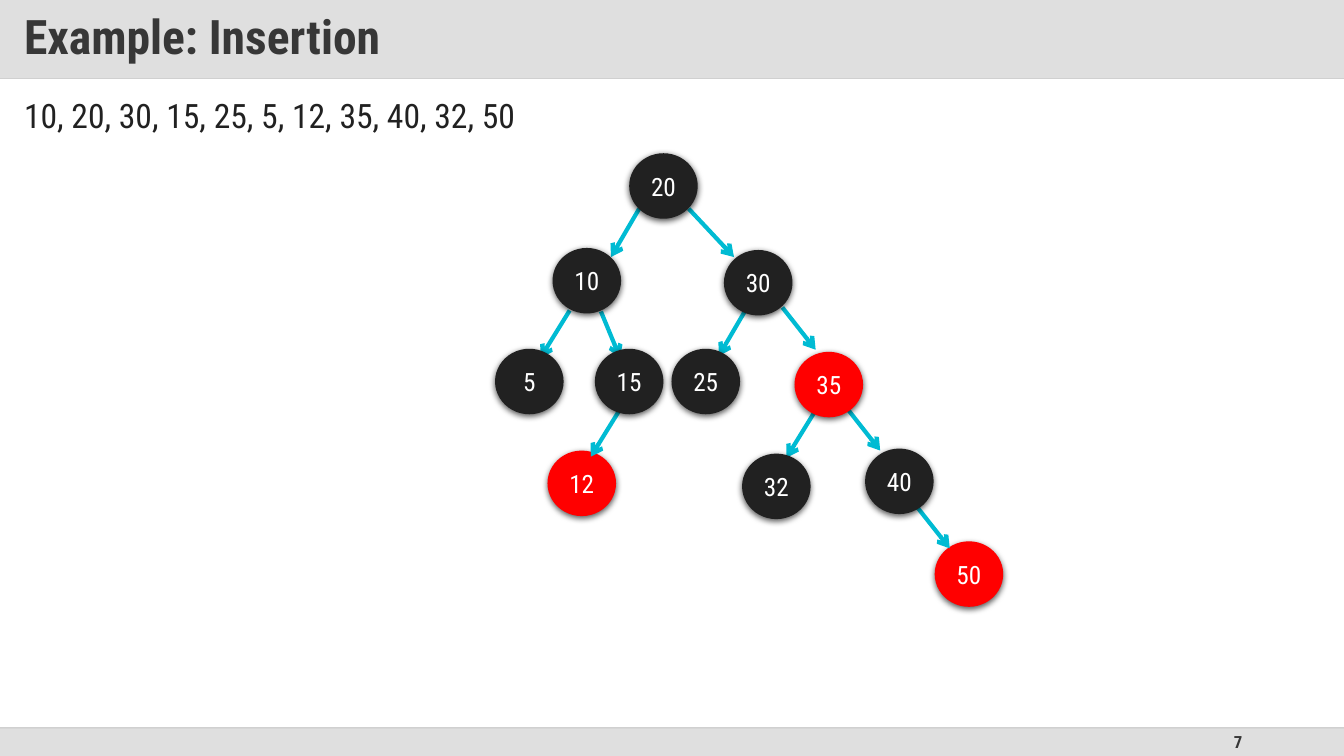
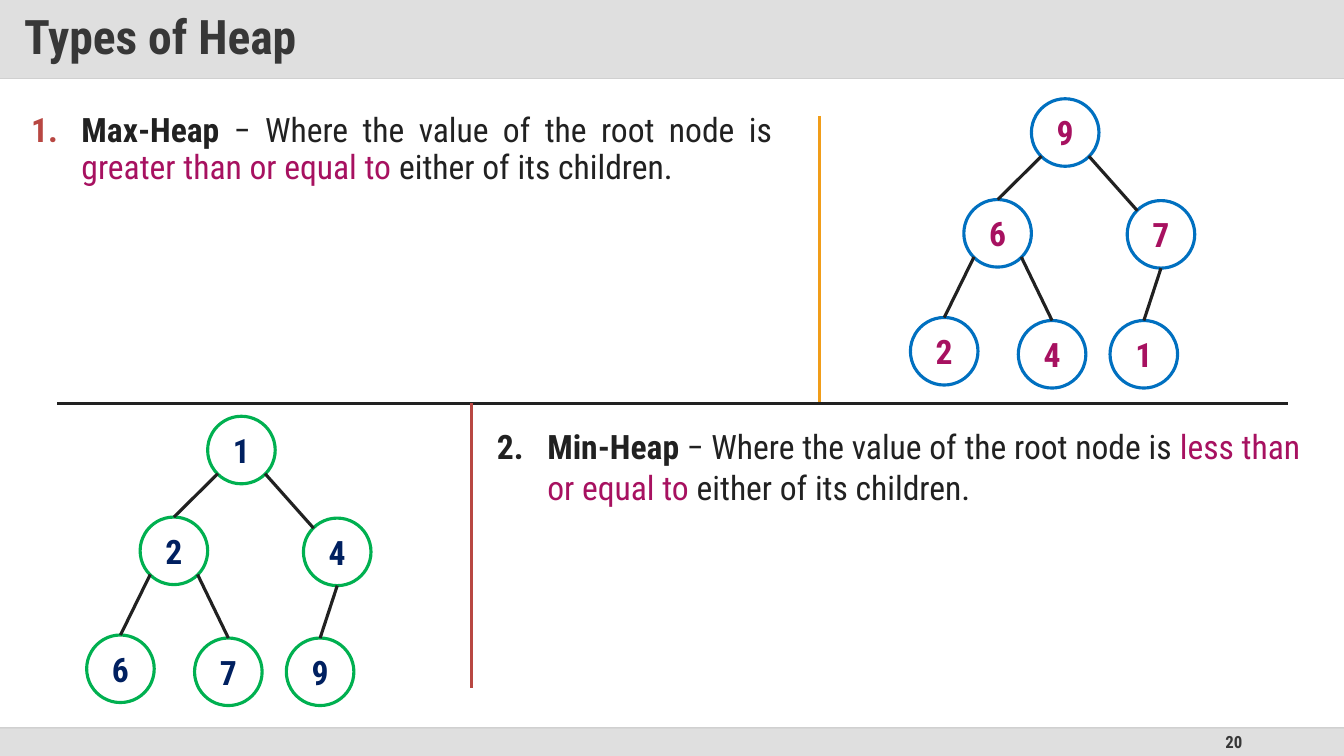
from lxml import etree
from pptx import Presentation
from pptx.dml.color import RGBColor
from pptx.enum.shapes import MSO_CONNECTOR, MSO_SHAPE
from pptx.enum.text import MSO_ANCHOR, PP_ALIGN
from pptx.oxml.ns import qn
from pptx.util import Inches, Pt

FONT = "Roboto Condensed"
WHITE = RGBColor(0xFF, 0xFF, 0xFF)
INK = RGBColor(0x21, 0x21, 0x21)
TITLE_INK = RGBColor(0x37, 0x37, 0x37)
TITLE_BAND = RGBColor(0xC0, 0xC0, 0xC0)
FOOTER_BAND = RGBColor(0xDF, 0xDF, 0xDF)
TITLE_RULE = RGBColor(0xD9, 0xD9, 0xD9)
FOOTER_RULE = RGBColor(0xBF, 0xBF, 0xBF)
RED = RGBColor(0xFF, 0x00, 0x00)
CYAN = RGBColor(0x00, 0xBB, 0xD3)
MAGENTA = RGBColor(0xA7, 0x11, 0x60)
BRICK = RGBColor(0xB8, 0x47, 0x42)
ORANGE = RGBColor(0xF1, 0x9D, 0x19)
BLUE = RGBColor(0x00, 0x70, 0xC0)
GREEN = RGBColor(0x00, 0xB0, 0x50)
NAVY = RGBColor(0x00, 0x20, 0x60)

WIDTH, HEIGHT = 13.33, 7.5
TITLE_HEIGHT = 0.78
FOOTER_TOP, FOOTER_HEIGHT = 7.22, 0.28

TREE_NODE = (0.68, 0.65)
LEAVES_BEHIND = [("12", 5.43, 4.47, RED), ("50", 9.27, 5.37, RED)]
TREE_ARROWS = [
    (6.83, 2.07, 7.28, 2.55), (6.34, 2.07, 6.06, 2.55),
    (5.96, 3.09, 6.15, 3.55), (5.65, 3.08, 5.36, 3.55),
    (7.41, 3.05, 7.13, 3.53), (7.76, 3.05, 8.09, 3.47),
    (6.15, 4.06, 5.86, 4.53), (8.09, 4.07, 7.80, 4.54),
    (8.40, 4.05, 8.73, 4.47), (9.08, 5.01, 9.42, 5.44),
]
NODES_IN_FRONT = [
    ("20", 6.24, 1.52, INK), ("10", 5.48, 2.46, INK), ("30", 7.18, 2.48, INK),
    ("5", 4.91, 3.46, INK), ("15", 5.90, 3.46, INK), ("25", 6.66, 3.46, INK),
    ("35", 7.88, 3.49, RED), ("32", 7.36, 4.50, INK), ("40", 8.58, 4.45, INK),
]

HEAP_NODE = 0.67
HEAP_OFFSETS = [(0, 0), (-0.67, 1), (0.95, 1.01), (-1.2, 2.17), (-0.13, 2.2), (0.78, 2.2)]
SITES = {
    "top": (0.5, 0), "bottom": (0.5, 1), "upper left": (0.15, 0.15),
    "lower left": (0.15, 0.85), "lower right": (0.85, 0.85),
}
HEAP_EDGES = [
    (0, "lower left", 1, "top"), (0, "lower right", 2, "upper left"),
    (1, "lower left", 3, "top"), (1, "lower right", 4, "top"),
    (2, "bottom", 5, "top"),
]


def set_alpha(color_parent, percent):
    color = color_parent.find(".//" + qn("a:srgbClr"))
    etree.SubElement(color, qn("a:alpha"), val=str(percent * 1000))


def style_font(font, size, color, bold=False):
    font.name = FONT
    font.size = Pt(size)
    font.bold = bold
    font.color.rgb = color


def write_line(frame, words, size, color, bold=False, align=PP_ALIGN.LEFT):
    para = frame.paragraphs[0]
    para.text = words
    para.alignment = align
    style_font(para.font, size, color, bold)
    return para


def add_shape(page, kind, left, top, width, height, fill=None):
    shape = page.shapes.add_shape(
        kind, Inches(left), Inches(top), Inches(width), Inches(height))
    shape.shadow.inherit = False
    shape.line.fill.background()
    if fill is None:
        shape.fill.background()
    else:
        shape.fill.solid()
        shape.fill.fore_color.rgb = fill
    return shape


def add_text_box(page, left, top, width, height):
    box = page.shapes.add_textbox(
        Inches(left), Inches(top), Inches(width), Inches(height))
    box.text_frame.word_wrap = True
    return box.text_frame


def add_line(page, start, end, color, weight, alpha=None, arrow=False):
    points = [Inches(value) for value in (*start, *end)]
    line = page.shapes.add_connector(MSO_CONNECTOR.STRAIGHT, *points)
    line.line.color.rgb = color
    line.line.width = Pt(weight)
    properties = line.element.spPr
    outline = properties.find(qn("a:ln"))
    if alpha:
        set_alpha(outline, alpha)
    if arrow:
        etree.SubElement(outline, qn("a:tailEnd"), type="arrow")
    etree.SubElement(properties, qn("a:effectLst"))


def add_node(page, label, left, top, size, font_size, color, bold=False, fill=None):
    node = add_shape(page, MSO_SHAPE.OVAL, left, top, *size, fill)
    frame = node.text_frame
    frame.word_wrap = False
    frame.vertical_anchor = MSO_ANCHOR.MIDDLE
    write_line(frame, label, font_size, color, bold, PP_ALIGN.CENTER)
    return node


def add_soft_shadow(shape):
    effects = shape.element.spPr.find(qn("a:effectLst"))
    shadow = etree.SubElement(
        effects, qn("a:outerShdw"), blurRad=str(Pt(4.5)), dist=str(Pt(1.5)),
        dir="5400000", algn="ctr", rotWithShape="0")
    etree.SubElement(shadow, qn("a:srgbClr"), val="000000")
    set_alpha(effects, 63)


def add_tree_nodes(page, nodes):
    for label, left, top, fill in nodes:
        node = add_node(page, label, left, top, TREE_NODE, 18, WHITE, fill=fill)
        add_soft_shadow(node)


def add_heap(page, left, top, labels, outline, color):
    corners = [(left + across, top + down) for across, down in HEAP_OFFSETS]
    for label, corner in zip(labels, corners):
        node = add_node(page, label, *corner, (HEAP_NODE, HEAP_NODE), 24, color, True)
        node.line.color.rgb = outline
        node.line.width = Pt(2.25)

    def site(index, name):
        return [start + HEAP_NODE * share
                for start, share in zip(corners[index], SITES[name])]

    for parent, parent_site, child, child_site in HEAP_EDGES:
        add_line(page, site(parent, parent_site), site(child, child_site), INK, 2.25)


def add_definition(frame, number, number_color, term, comparison):
    para = frame.paragraphs[0]
    properties = para._p.get_or_add_pPr()
    properties.set("marL", str(Inches(0.5)))
    properties.set("indent", str(-Inches(0.5)))
    bullet_color = etree.SubElement(properties, qn("a:buClr"))
    etree.SubElement(bullet_color, qn("a:srgbClr"), val=str(number_color))
    etree.SubElement(properties, qn("a:buFont"), typeface="+mj-lt")
    etree.SubElement(
        properties, qn("a:buAutoNum"), type="arabicPeriod", startAt=str(number))
    for words, color, bold in (
        (term, INK, True),
        (" − Where the value of the root node is ", INK, False),
        (comparison, MAGENTA, False),
        ("either of its children.", INK, False),
    ):
        span = para.add_run()
        span.text = words
        style_font(span.font, 24, color, bold)
    return para


def add_page(deck, title, number):
    page = deck.slides.add_slide(deck.slide_layouts[6])
    add_shape(page, MSO_SHAPE.RECTANGLE, 0, FOOTER_TOP, WIDTH, FOOTER_HEIGHT, FOOTER_BAND)
    footer = add_text_box(page, 9.42, FOOTER_TOP, 3, FOOTER_HEIGHT)
    footer.vertical_anchor = MSO_ANCHOR.MIDDLE
    write_line(footer, str(number), 12, TITLE_INK, True, PP_ALIGN.RIGHT)
    add_line(page, (0, TITLE_HEIGHT), (WIDTH, TITLE_HEIGHT), TITLE_RULE, 1)
    add_line(page, (0, FOOTER_TOP), (WIDTH, FOOTER_TOP), FOOTER_RULE, 1, alpha=70)

    band = add_shape(page, MSO_SHAPE.RECTANGLE, 0, 0, WIDTH, TITLE_HEIGHT, TITLE_BAND)
    set_alpha(band.element.spPr, 50)
    frame = band.text_frame
    frame.margin_left = frame.margin_right = Inches(0.24)
    frame.margin_top = frame.margin_bottom = Inches(0.12)
    frame.vertical_anchor = MSO_ANCHOR.MIDDLE
    write_line(frame, title, 34, TITLE_INK, True).line_spacing = 0.9
    return page


def build_insertion(deck):
    page = add_page(deck, "Example: Insertion", 7)
    frame = add_text_box(page, 0.14, 0.94, 5.33, 0.54)
    keys = write_line(frame, "10, 20, 30, 15, 25, 5, 12, 35, 40, 32, 50",
                      24, INK, align=PP_ALIGN.JUSTIFY)
    keys.line_spacing = 0.9
    add_tree_nodes(page, LEAVES_BEHIND)
    for left, top, right, bottom in TREE_ARROWS:
        add_line(page, (left, top), (right, bottom), CYAN, 3, arrow=True)
    add_tree_nodes(page, NODES_IN_FRONT)


def build_heap_types(deck):
    page = add_page(deck, "Types of Heap", 20)
    max_frame = add_text_box(page, 0.21, 1.08, 7.55, 1.13)
    max_para = add_definition(
        max_frame, 1, BRICK, "Max-Heap", "greater than or equal to ")
    max_para.alignment = PP_ALIGN.JUSTIFY
    max_para.line_spacing = 0.9
    add_heap(page, 10.23, 0.98, "967241", BLUE, MAGENTA)

    add_line(page, (0.57, 4), (12.77, 4), INK, 2.25)
    add_line(page, (8.13, 1.15), (8.13, 3.99), ORANGE, 2.25)
    add_line(page, (4.68, 4), (4.68, 6.83), BRICK, 2.25)

    min_frame = add_text_box(page, 4.83, 4.18, 8.2, 1.31)
    add_definition(min_frame, 2, INK, "Min-Heap", "less than or equal to ")
    add_heap(page, 2.06, 4.13, "124679", GREEN, NAVY)


def main():
    deck = Presentation()
    deck.slide_width = Inches(WIDTH)
    deck.slide_height = Inches(HEIGHT)
    build_insertion(deck)
    build_heap_types(deck)
    deck.save("out.pptx")


if __name__ == "__main__":
    main()
